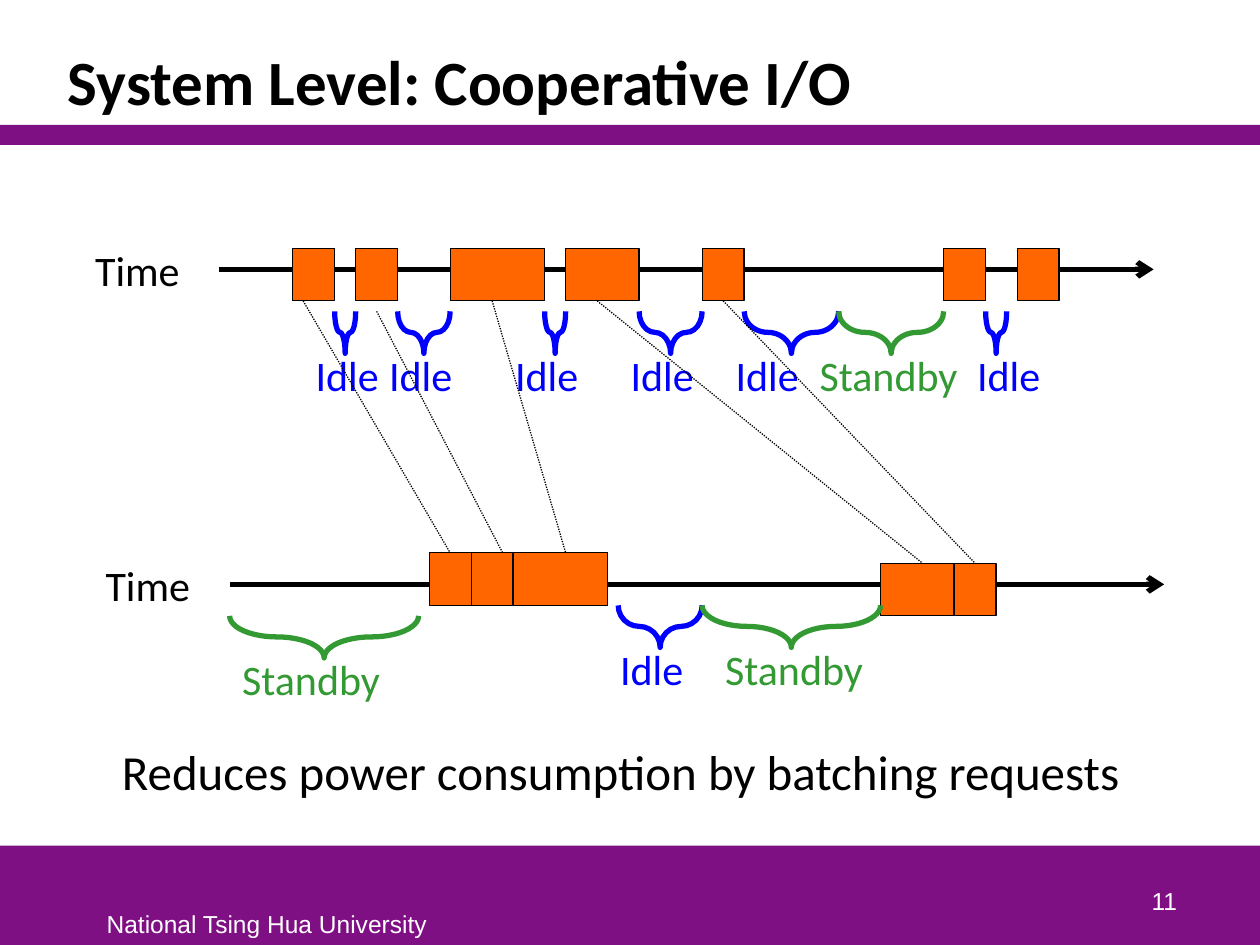
from typing import NamedTuple

from lxml.etree import SubElement
from pptx import Presentation
from pptx.dml.color import RGBColor
from pptx.enum.dml import MSO_LINE
from pptx.enum.shapes import MSO_CONNECTOR, MSO_SHAPE
from pptx.enum.text import MSO_ANCHOR, MSO_AUTO_SIZE, PP_ALIGN
from pptx.oxml.ns import qn
from pptx.util import Cm, Pt

HUES = {
    "band": "7F1084",
    "task": "FF6600",
    "idle": "0000FF",
    "standby": "339933",
    "ink": "000000",
    "paper": "FFFFFF",
}
STEP = 2.54 / 12
LEFT, TOP = 5.9, 5.43
FIT = MSO_AUTO_SIZE.SHAPE_TO_FIT_TEXT


class Task(NamedTuple):
    x: int
    y: int
    wide: int


class Brace(NamedTuple):
    x: int
    y: int
    wide: int
    kind: str


class Label(NamedTuple):
    x: int
    y: int
    wide: int
    text: str
    hue: str


class Link(NamedTuple):
    x1: int
    y1: int
    x2: int
    y2: int


AXES = [Link(-7, 0, 82, 0), Link(-6, 30, 83, 30)]
TASKS = [Task(x, -2, wide) for x, wide in
         [(0, 4), (6, 4), (15, 9), (26, 7), (39, 4), (62, 4), (69, 4)]]
TASKS += [Task(13, 27, 4), Task(17, 27, 4), Task(21, 27, 9),
          Task(56, 28, 7), Task(63, 28, 4)]
BRACES = [Brace(x, 4, wide, "idle") for x, wide in
          [(4, 2), (10, 5), (33, 6), (24, 2), (43, 9), (66, 2)]]
BRACES += [Brace(52, 4, 10, "standby"), Brace(-6, 33, 18, "standby"),
           Brace(31, 32, 8, "idle"), Brace(39, 32, 17, "standby")]
LABELS = [Label(x, 7, 9, "Idle", "idle") for x in (1, 8, 20, 31, 41, 64)]
LABELS += [Label(x, y, 16, "Standby", "standby")
           for x, y in [(49, 7), (-6, 36), (40, 35)]]
LABELS += [Label(30, 35, 10, "Idle", "idle"),
           Label(-20, -3, 13, "Time", "ink"),
           Label(-19, 27, 13, "Time", "ink")]
LINKS = [Link(1, 3, 15, 27), Link(8, 4, 20, 27), Link(19, 3, 26, 27),
         Link(29, 3, 60, 28), Link(41, 3, 65, 28)]


def tint(name: str) -> RGBColor:
    return RGBColor.from_string(HUES[name])


def across(x: float) -> Cm:
    return Cm(LEFT + x * STEP)


def down(y: float) -> Cm:
    return Cm(TOP + y * STEP)


def span(size: float) -> Cm:
    return Cm(size * STEP)


def apply(item, form: dict) -> None:
    for key, value in form.items():
        setattr(item, key, value)


def paint(shape, fill: str = "", line: str = "", width: float = 0.75) -> None:
    shape.shadow.inherit = False
    if fill:
        shape.fill.solid()
        shape.fill.fore_color.rgb = tint(fill)
    else:
        shape.fill.background()
    if line:
        shape.line.color.rgb = tint(line)
        shape.line.width = Pt(width)
    else:
        shape.line.fill.background()


def add_band(slide, top: float, high: float) -> None:
    band = slide.shapes.add_shape(MSO_SHAPE.RECTANGLE, 0, Cm(top), Cm(25.4), Cm(high))
    paint(band, "band")


def add_text(slide, area: tuple, text: str, font: dict, hue: str = "ink",
             frame: dict | None = None, para: dict | None = None) -> None:
    body = slide.shapes.add_textbox(*area).text_frame
    apply(body, {"word_wrap": True, **(frame or {})})
    line = body.paragraphs[0]
    apply(line, para or {})
    run = line.add_run()
    run.text = text
    apply(run.font, font)
    run.font.color.rgb = tint(hue)


def add_label(slide, label: Label) -> None:
    area = across(label.x), down(label.y), span(label.wide), span(6)
    add_text(slide, area, label.text, {"name": "Calibri", "size": Pt(24)},
             label.hue, {"auto_size": FIT})


def add_task(slide, task: Task):
    box = slide.shapes.add_shape(MSO_SHAPE.RECTANGLE, across(task.x), down(task.y),
                                 span(task.wide), span(5))
    paint(box, "task", "ink")
    return box


def add_brace(slide, brace: Brace) -> None:
    high = 4
    shift = (brace.wide - high) / 2
    shape = slide.shapes.add_shape(
        MSO_SHAPE.LEFT_BRACE, across(brace.x + shift), down(brace.y - shift),
        span(high), span(brace.wide))
    shape.rotation = 270
    shape.adjustments[0] = brace.wide / 4 / min(brace.wide, high)
    paint(shape, line=brace.kind, width=3)


def add_line(slide, link: Link, form: dict, arrow: bool = False):
    line = slide.shapes.add_connector(
        MSO_CONNECTOR.STRAIGHT, across(link.x1), down(link.y1),
        across(link.x2), down(link.y2))
    line.line.color.rgb = tint("ink")
    apply(line.line, form)
    props = line._element.spPr
    if arrow:
        SubElement(props.find(qn("a:ln")), qn("a:tailEnd"), type="arrow")
    SubElement(props, qn("a:effectLst"))
    return line


def main() -> None:
    deck = Presentation()
    apply(deck, {"slide_width": Cm(25.4), "slide_height": Cm(19.05)})
    slide = deck.slides.add_slide(deck.slide_layouts[6])

    add_band(slide, 17.05, 2)
    add_band(slide, 2.52, 0.4)
    small = {"name": "Arial", "size": Pt(14)}
    add_text(slide, (Cm(1.9), Cm(18.2), Cm(7), Cm(0.85)),
             "National Tsing Hua University", small, "paper",
             {"word_wrap": False, "auto_size": FIT})
    add_text(slide, (Cm(1.12), Cm(0.64), Cm(23.16), Cm(1.88)),
             "System Level: Cooperative I/O",
             {"name": "Calibri", "size": Pt(36), "bold": True},
             frame={"vertical_anchor": MSO_ANCHOR.BOTTOM},
             para={"line_spacing": 0.85})

    for axis in AXES:
        add_line(slide, axis, {"width": Pt(3)}, arrow=True)
    ports = {}
    for task in TASKS:
        box = add_task(slide, task)
        mid = task.x + task.wide / 2
        ports[mid, task.y] = box, 0
        ports[mid, task.y + 5] = box, 2
    for brace in BRACES:
        add_brace(slide, brace)
    for label in LABELS:
        add_label(slide, label)
    for link in LINKS:
        line = add_line(slide, link, {"width": Pt(0.75),
                                      "dash_style": MSO_LINE.ROUND_DOT})
        start, end = (link.x1, link.y1), (link.x2, link.y2)
        if start in ports:
            line.begin_connect(*ports[start])
        if end in ports:
            line.end_connect(*ports[end])

    add_text(slide, (Cm(2.21), Cm(14.83), Cm(20.88), Cm(1.45)),
             "Reduces power consumption by batching requests",
             {"name": "Calibri", "size": Pt(28)},
             frame={"word_wrap": False, "auto_size": FIT})
    add_text(slide, (Cm(18.7), Cm(17.3), Cm(5.28), Cm(1.27)), "11", small, "paper",
             {"vertical_anchor": MSO_ANCHOR.BOTTOM}, {"alignment": PP_ALIGN.RIGHT})
    deck.save("out.pptx")


if __name__ == "__main__":
    main()
